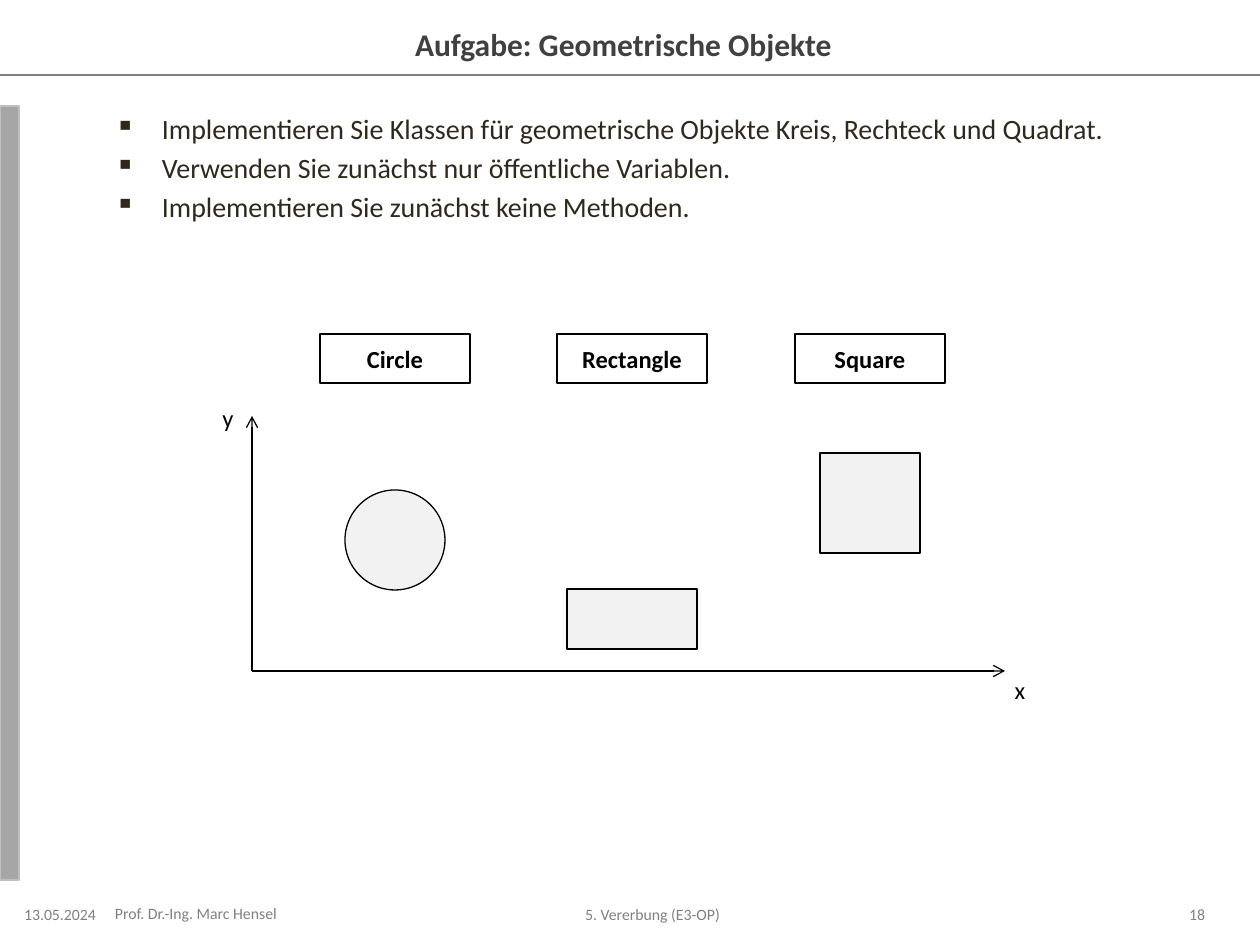
from dataclasses import dataclass

from lxml.etree import SubElement
from pptx import Presentation
from pptx.dml.color import RGBColor
from pptx.enum.shapes import MSO_CONNECTOR, MSO_SHAPE
from pptx.enum.text import MSO_ANCHOR, PP_ALIGN
from pptx.oxml.ns import qn
from pptx.util import Emu, Pt

PX = 914400 / 126


@dataclass(frozen=True)
class Theme:
    font: str = "Calibri"
    black: str = "000000"
    white: str = "FFFFFF"
    body: str = "2F291D"
    title: str = "404040"
    muted: str = "808080"
    bar: str = "A6A6A6"
    bar_edge: str = "BFBFBF"
    figure: str = "F2F2F2"
    footer_size: int = 9
    label_size: int = 14
    body_size: int = 16
    title_size: int = 18
    line_width: float = 0.75


THEME = Theme()


@dataclass(frozen=True)
class Box:
    left: int
    top: int
    width: int
    height: int

    def emu(self) -> list[Emu]:
        return [px(side) for side in (self.left, self.top, self.width, self.height)]


@dataclass(frozen=True)
class Style:
    size: int
    color: str
    bold: bool = False
    align: PP_ALIGN = PP_ALIGN.CENTER
    anchor: MSO_ANCHOR = MSO_ANCHOR.MIDDLE
    inset_left: int = 0
    inset_right: int = 13
    bullet: str = ""


@dataclass(frozen=True)
class GeometryClass:
    name: str
    center: int
    kind: MSO_SHAPE
    top: int
    width: int
    height: int


TITLE = Style(THEME.title_size, THEME.title, bold=True)
BODY = Style(THEME.body_size, THEME.body, align=PP_ALIGN.LEFT, anchor=MSO_ANCHOR.TOP, bullet="▪")
FOOTER = Style(THEME.footer_size, THEME.muted)
FOOTER_LEFT = Style(THEME.footer_size, THEME.muted, align=PP_ALIGN.LEFT)
FOOTER_RIGHT = Style(THEME.footer_size, THEME.muted, align=PP_ALIGN.RIGHT,
                     inset_left=13, inset_right=0)
CLASS_LABEL = Style(THEME.label_size, THEME.black, bold=True, inset_left=13)
AXIS_LABEL = Style(THEME.label_size, THEME.black, anchor=MSO_ANCHOR.TOP, inset_left=13)

TASKS = [
    "Implementieren Sie Klassen für geometrische Objekte Kreis, Rechteck und Quadrat.",
    "Verwenden Sie zunächst nur öffentliche Variablen.",
    "Implementieren Sie zunächst keine Methoden.",
]

TEXTS = [
    (["Aufgabe: Geometrische Objekte"], Box(156, 19, 948, 49), TITLE),
    (TASKS, Box(115, 106, 1091, 774), BODY),
    (["13.05.2024"], Box(19, 904, 95, 20), FOOTER),
    (["Prof. Dr.-Ing. Marc Hensel"], Box(115, 904, 189, 19), FOOTER_LEFT),
    (["5. Vererbung (E3-OP)"], Box(312, 905, 694, 19), FOOTER),
    (["18"], Box(1124, 905, 81, 19), FOOTER_RIGHT),
    (["y"], Box(197, 397, 62, 59), AXIS_LABEL),
    (["x"], Box(989, 669, 62, 59), AXIS_LABEL),
]

CLASSES = [
    GeometryClass("Circle", 395, MSO_SHAPE.OVAL, 490, 100, 100),
    GeometryClass("Rectangle", 632, MSO_SHAPE.RECTANGLE, 589, 130, 60),
    GeometryClass("Square", 870, MSO_SHAPE.RECTANGLE, 453, 100, 100),
]

ORIGIN = (252, 671)
AXIS_ENDS = [(252, 416), (1005, 671)]


def px(length: int) -> Emu:
    return Emu(round(length * PX))


def rgb(color: str) -> RGBColor:
    return RGBColor.from_string(color)


def write(frame, lines: list[str], style: Style) -> None:
    frame.word_wrap = True
    frame.vertical_anchor = style.anchor
    frame.margin_left, frame.margin_right = px(style.inset_left), px(style.inset_right)
    frame.margin_top = frame.margin_bottom = px(6)
    for index, line in enumerate(lines):
        para = frame.add_paragraph() if index else frame.paragraphs[0]
        para.text = line
        para.alignment = style.align
        if index:
            para.space_before = Pt(3)
        if style.bullet:
            properties = para._p.get_or_add_pPr()
            properties.set("marL", str(px(47)))
            properties.set("indent", str(-px(47)))
            SubElement(properties, qn("a:buChar"), char=style.bullet)
        para.font.name = THEME.font
        para.font.size = Pt(style.size)
        para.font.bold = style.bold
        para.font.color.rgb = rgb(style.color)


def add_text(shapes, lines: list[str], box: Box, style: Style) -> None:
    write(shapes.add_textbox(*box.emu()).text_frame, lines, style)


def add_figure(shapes, kind: MSO_SHAPE, box: Box, fill: str, edge: str):
    figure = shapes.add_shape(kind, *box.emu())
    figure.shadow.inherit = False
    figure.fill.solid()
    figure.fill.fore_color.rgb = rgb(fill)
    figure.line.color.rgb = rgb(edge)
    figure.line.width = Pt(THEME.line_width)
    return figure


def add_line(shapes, start: tuple[int, int], end: tuple[int, int], color: str,
             arrow: bool = False) -> None:
    line = shapes.add_connector(MSO_CONNECTOR.STRAIGHT, *map(px, start + end))
    line.line.color.rgb = rgb(color)
    line.line.width = Pt(THEME.line_width)
    if arrow:
        SubElement(line.line._get_or_add_ln(), qn("a:tailEnd"), type="arrow")
    SubElement(line._element.spPr, qn("a:effectLst"))


def add_class(shapes, item: GeometryClass) -> None:
    group = shapes.add_group_shape().shapes
    label = add_figure(group, MSO_SHAPE.RECTANGLE, Box(item.center - 75, 334, 150, 49),
                       THEME.white, THEME.black)
    write(label.text_frame, [item.name], CLASS_LABEL)
    add_figure(group, item.kind,
               Box(item.center - item.width // 2, item.top, item.width, item.height),
               THEME.figure, THEME.black)


def main() -> None:
    deck = Presentation()
    deck.slide_width, deck.slide_height = px(1260), px(945)
    shapes = deck.slides.add_slide(deck.slide_layouts[6]).shapes
    add_line(shapes, (0, 75), (1260, 75), THEME.muted)
    add_figure(shapes, MSO_SHAPE.RECTANGLE, Box(0, 106, 19, 774), THEME.bar, THEME.bar_edge)
    for item in CLASSES:
        add_class(shapes, item)
    for end in AXIS_ENDS:
        add_line(shapes, ORIGIN, end, THEME.black, arrow=True)
    for lines, box, style in TEXTS:
        add_text(shapes, lines, box, style)
    deck.save("out.pptx")


if __name__ == "__main__":
    main()
